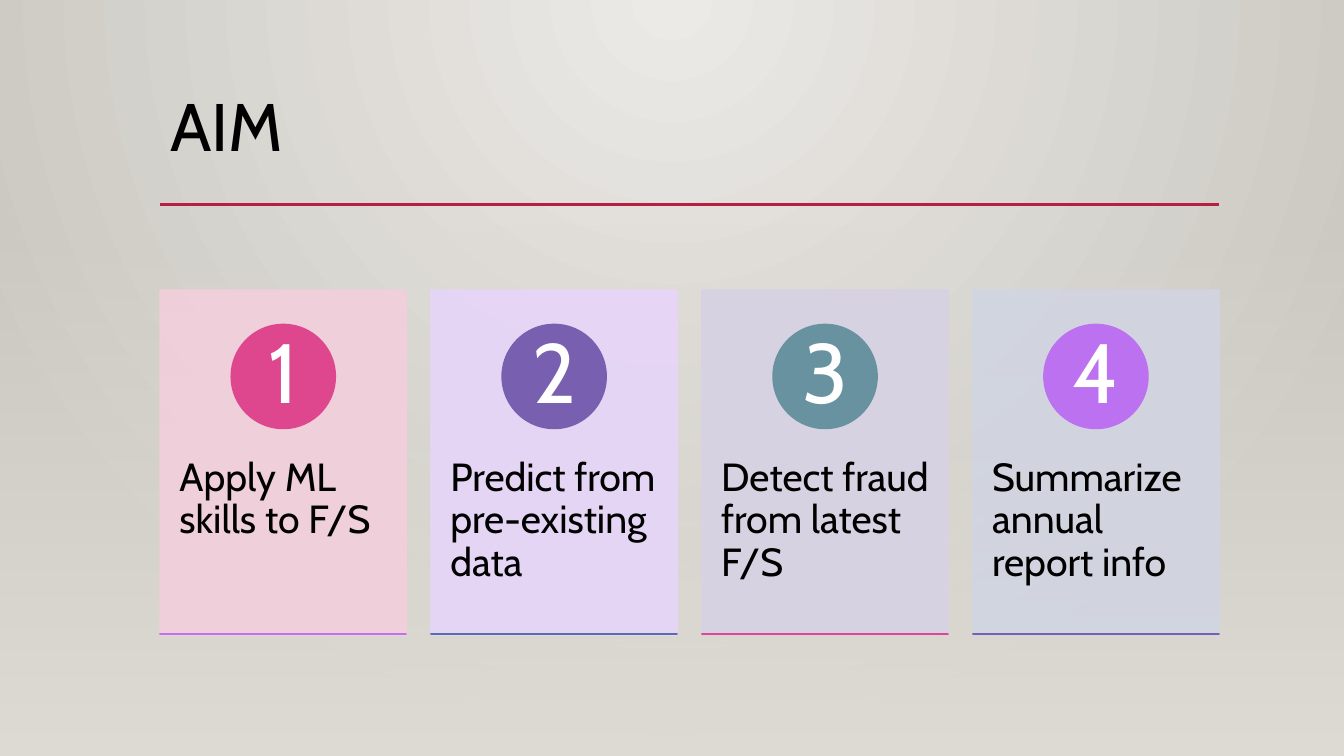
from lxml.etree import SubElement
from pptx import Presentation
from pptx.dml.color import RGBColor
from pptx.enum.shapes import MSO_CONNECTOR, MSO_SHAPE
from pptx.enum.text import MSO_ANCHOR, PP_ALIGN
from pptx.oxml import parse_xml
from pptx.oxml.ns import nsdecls, qn
from pptx.util import Inches, Pt

HUES = {
    "black": "000000", "white": "FFFFFF", "red": "B71E42",
    "light": "ECEAE7", "dark": "CAC7C1", "sand": "DFDBD5",
    "rose": "F2CFDB", "lilac": "E7D5F9", "mauve": "D7D2E3", "mist": "D1D5E1",
    "pink": "DE478E", "plum": "795FAF", "teal": "6892A0",
    "violet": "BC72F0", "blue": "586EA6",
}
CIRCLE = '<a:path path="circle"><a:fillToRect l="43000" r="43000" b="100000"/></a:path>'
DOWN = '<a:lin ang="5400000" scaled="0"/>'
LEFT, WIDTH = 1.59, 10.5
CARD_W, CARD_TOP, CARD_H = 2.44, 2.88, 3.42
DISC, NUM_BOX = 1.03, 0.73
# label, card, disc, rule
CARDS = [
    ("Apply ML skills to F/S", "rose", "pink", "violet"),
    ("Predict from pre-existing data", "lilac", "plum", "blue"),
    ("Detect fraud from latest F/S", "mauve", "teal", "pink"),
    ("Summarize annual report info", "mist", "violet", "plum"),
]
LABEL = {"margin_left": Inches(0.19), "margin_right": Inches(0.19),
         "margin_top": Inches(0.36), "margin_bottom": Inches(0.36)}
NUMBER = {"margin_left": Inches(0.08), "margin_right": Inches(0.08),
          "margin_top": Inches(0.01), "margin_bottom": Inches(0.01),
          "vertical_anchor": MSO_ANCHOR.MIDDLE}


def hue(name):
    return RGBColor.from_string(HUES[name])


def fade(root, alpha):
    """Set the opacity, in percent, of every solid colour under root."""
    for color in root.iter(qn("a:srgbClr")):
        SubElement(color, qn("a:alpha"), val=str(alpha * 1000))


def blend(root, fill, start, end, shade, alpha=100):
    """Fill with a gradient whose first stop has the given opacity."""
    fill.solid()
    solid = next(root.iter(qn("a:solidFill")))
    grad = parse_xml(
        f'<a:gradFill {nsdecls("a")} rotWithShape="1"><a:gsLst>'
        f'<a:gs pos="0"><a:srgbClr val="{HUES[start]}">'
        f'<a:alpha val="{alpha * 1000}"/></a:srgbClr></a:gs>'
        f'<a:gs pos="100000"><a:srgbClr val="{HUES[end]}"/></a:gs>'
        f'</a:gsLst>{shade}</a:gradFill>')
    solid.getparent().replace(solid, grad)


def add_form(slide, kind, box, color=None):
    form = slide.shapes.add_shape(kind, *map(Inches, box))
    form.shadow.inherit = False
    if color:
        form.fill.solid()
        form.fill.fore_color.rgb = hue(color)
        form.line.color.rgb = hue(color)
        form.line.width = Pt(1.25)
    else:
        form.line.fill.background()
    return form


def add_text(slide, box, text, size, color="black", align=PP_ALIGN.LEFT, frame=None):
    body = slide.shapes.add_textbox(*map(Inches, box)).text_frame
    body.word_wrap = True
    for key, value in (frame or {}).items():
        setattr(body, key, value)
    para = body.paragraphs[0]
    para.alignment = align
    para.line_spacing = 0.9
    run = para.add_run()
    run.text = text
    for key, value in {"name": "Cabin", "size": Pt(size)}.items():
        setattr(run.font, key, value)
    run.font.color.rgb = hue(color)


def add_rule(slide, left, top, width):
    rule = slide.shapes.add_connector(
        MSO_CONNECTOR.STRAIGHT, *map(Inches, (left, top, left + width, top)))
    rule.line.color.rgb = hue("red")
    rule.line.width = Pt(2.5)
    SubElement(rule.element.spPr, qn("a:effectLst"))


def add_card(slide, left, number, label, card, disc, rule):
    mid = left + CARD_W / 2
    center = 3.735
    panel = add_form(slide, MSO_SHAPE.RECTANGLE, (left, CARD_TOP, CARD_W, CARD_H), card)
    fade(panel.element.spPr, 90)
    add_text(slide, (left, 4.18, CARD_W, 2.05), label, 28, frame=LABEL)
    add_form(slide, MSO_SHAPE.OVAL,
             (mid - DISC / 2, center - DISC / 2, DISC, DISC), disc)
    add_text(slide, (mid - NUM_BOX / 2, center - NUM_BOX / 2, NUM_BOX, NUM_BOX),
             str(number), 60, "white", PP_ALIGN.CENTER, NUMBER)
    add_form(slide, MSO_SHAPE.RECTANGLE, (left, 6.29, CARD_W, 0), rule)


def main():
    deck = Presentation()
    deck.slide_width, deck.slide_height = Inches(13.33), Inches(7.5)
    slide = deck.slides.add_slide(deck.slide_layouts[6])
    blend(slide.element, slide.background.fill, "light", "dark", CIRCLE)

    add_text(slide, (LEFT, 0.88, WIDTH, 1.15), "AIM", 48)
    add_rule(slide, LEFT, 2.03, WIDTH)
    veil = add_form(slide, MSO_SHAPE.RECTANGLE, (0, 2.21, 13.33, 5.29))
    blend(veil.element.spPr, veil.fill, "sand", "sand", DOWN, 0)

    pitch = (WIDTH - CARD_W) / (len(CARDS) - 1)
    for index, card in enumerate(CARDS):
        add_card(slide, LEFT + index * pitch, index + 1, *card)
    deck.save("out.pptx")


if __name__ == "__main__":
    main()
